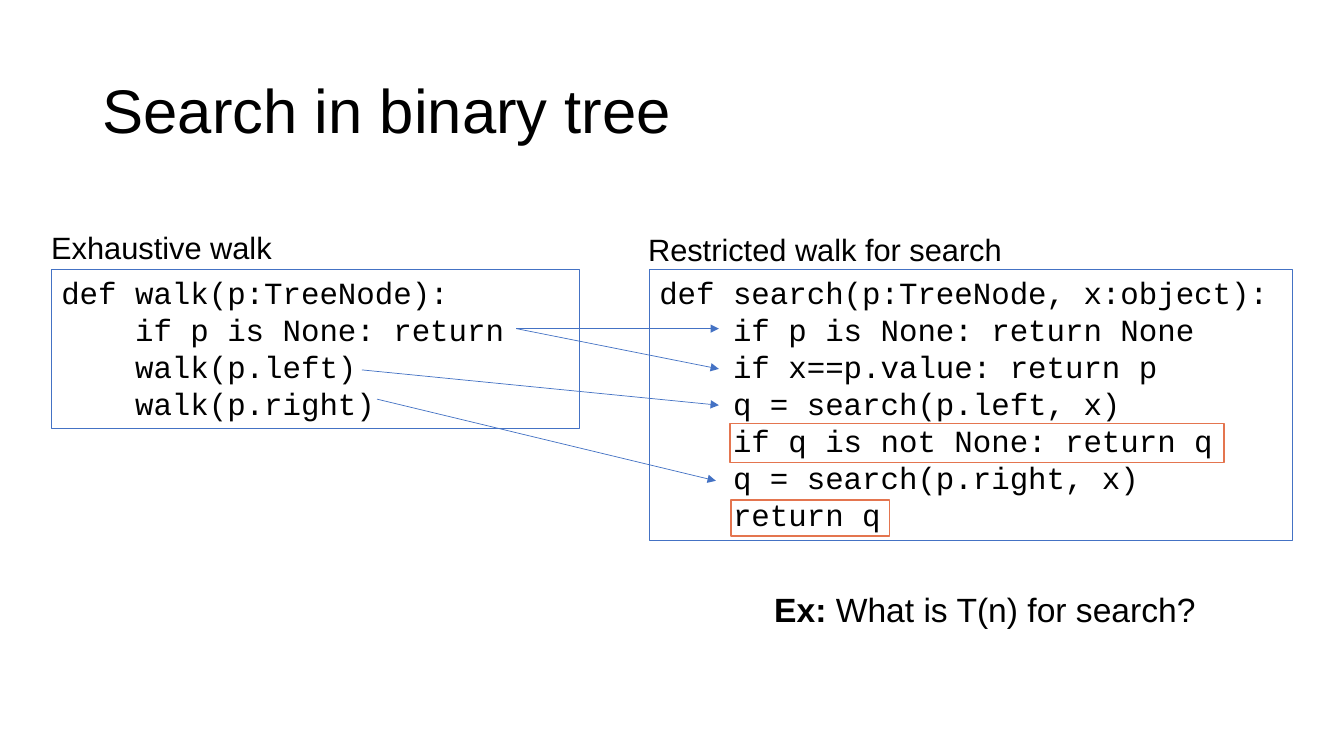
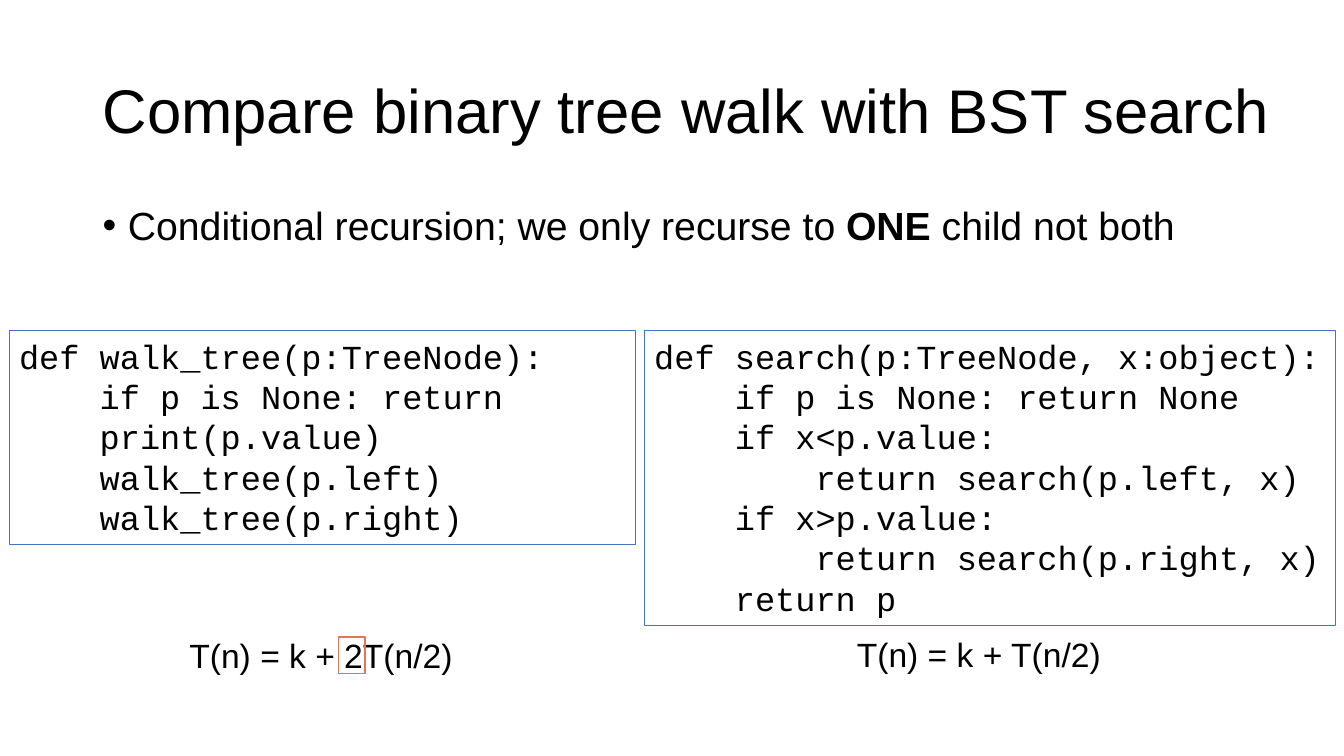
import pptx
import pptx.util
import pptx.dml.color
import pptx.enum.shapes
import pptx.enum.text
import pptx.oxml.ns
import lxml.etree

Inches = pptx.util.Inches
Pt = pptx.util.Pt
RGBColor = pptx.dml.color.RGBColor
qn = pptx.oxml.ns.qn
Anchor = pptx.enum.text.MSO_ANCHOR
AutoSize = pptx.enum.text.MSO_AUTO_SIZE

BLACK = RGBColor(0x00, 0x00, 0x00)
BLUE = RGBColor(0x44, 0x72, 0xC4)
ORANGE = RGBColor(0xE4, 0x75, 0x4F)
BODY_FONT = "Arial"
CODE_FONT = "Courier New"


class SlideWriter:
    def __init__(self, deck):
        self.deck = deck
        self.page = None

    def new_page(self, title, title_width=11.5):
        self.page = self.deck.slides.add_slide(self.deck.slide_layouts[6])
        box = self.text([(title, False)], 0.92, 0.4, title_width, 1.45, 44, wrap=True)
        box.text_frame.vertical_anchor = Anchor.MIDDLE
        box.text_frame.paragraphs[0].line_spacing = 0.9

    def style(self, para, size, name):
        para.font.size = Pt(size)
        para.font.name = name
        para.font.color.rgb = BLACK

    def text(self, spans, left, top, width, height, size, wrap=False):
        box = self.page.shapes.add_textbox(
            Inches(left), Inches(top), Inches(width), Inches(height))
        frame = box.text_frame
        frame.word_wrap = wrap
        frame.auto_size = AutoSize.NONE if wrap else AutoSize.SHAPE_TO_FIT_TEXT
        para = frame.paragraphs[0]
        self.style(para, size, BODY_FONT)
        for words, bold in spans:
            span = para.add_run()
            span.text = words
            if bold:
                span.font.bold = True
        return box

    def label(self, words, left, top, width, height, size):
        self.text([(words, False)], left, top, width, height, size)

    def bullet(self, spans, left, top, width, height):
        box = self.text(spans, left, top, width, height, 28, wrap=True)
        para = box.text_frame.paragraphs[0]
        para.line_spacing = 0.9
        para.space_before = Pt(10)
        properties = para._p.get_or_add_pPr()
        properties.set("marL", str(Inches(0.25)))
        properties.set("indent", str(-Inches(0.25)))
        font = lxml.etree.SubElement(properties, qn("a:buFont"))
        font.set("typeface", BODY_FONT)
        mark = lxml.etree.SubElement(properties, qn("a:buChar"))
        mark.set("char", "•")

    def frame(self, left, top, width, height, color=ORANGE, weight=1):
        shape = self.page.shapes.add_shape(
            pptx.enum.shapes.MSO_SHAPE.RECTANGLE,
            Inches(left), Inches(top), Inches(width), Inches(height))
        shape.shadow.inherit = False
        shape.fill.background()
        shape.line.color.rgb = color
        shape.line.width = Pt(weight)
        return shape

    def code(self, source, left, top, width, height, size):
        frame = self.frame(left, top, width, height, BLUE, 0.75).text_frame
        frame.word_wrap = True
        frame.auto_size = AutoSize.SHAPE_TO_FIT_TEXT
        frame.vertical_anchor = Anchor.TOP
        frame.text = source
        for para in frame.paragraphs:
            para.alignment = pptx.enum.text.PP_ALIGN.LEFT
            self.style(para, size, CODE_FONT)

    def arrow(self, start_x, start_y, end_x, end_y):
        line = self.page.shapes.add_connector(
            pptx.enum.shapes.MSO_CONNECTOR.STRAIGHT,
            Inches(start_x), Inches(start_y), Inches(end_x), Inches(end_y))
        line.line.color.rgb = BLUE
        line.line.width = Pt(0.5)
        head = lxml.etree.SubElement(line.line._get_or_add_ln(), qn("a:tailEnd"))
        head.set("type", "triangle")
        lxml.etree.SubElement(line._element.spPr, qn("a:effectLst"))


WALK = """def walk(p:TreeNode):
    if p is None: return
    walk(p.left)
    walk(p.right)"""

SEARCH = """def search(p:TreeNode, x:object):
    if p is None: return None
    if x==p.value: return p
    q = search(p.left, x)
    if q is not None: return q
    q = search(p.right, x)
    return q"""

WALK_TREE = """def walk_tree(p:TreeNode):
    if p is None: return
    print(p.value)
    walk_tree(p.left)
    walk_tree(p.right)"""

BST_SEARCH = """def search(p:TreeNode, x:object):
    if p is None: return None
    if x<p.value:
        return search(p.left, x)
    if x>p.value:
        return search(p.right, x)
    return p"""

deck = pptx.Presentation()
deck.slide_width = Inches(13.33)
deck.slide_height = Inches(7.5)
writer = SlideWriter(deck)

writer.new_page("Search in binary tree")
writer.text([("Ex:", True), (" What is T(n) for search?", False)],
            7.58, 5.79, 4.38, 0.5, 24)
writer.code(SEARCH, 6.44, 2.67, 6.38, 2.69, 22)
writer.code(WALK, 0.51, 2.67, 5.24, 1.58, 22)
for ends in [(5.12, 3.26, 7.13, 3.26), (5.12, 3.26, 7.13, 3.66),
             (3.59, 3.67, 7.13, 4.02), (3.74, 3.96, 7.1, 4.77)]:
    writer.arrow(*ends)
writer.frame(7.24, 4.2, 4.9, 0.39)
writer.frame(7.25, 4.96, 1.57, 0.36)
writer.label("Exhaustive walk", 0.41, 2.22, 2.41, 0.47, 22)
writer.label("Restricted walk for search", 6.33, 2.24, 3.76, 0.47, 22)

writer.new_page("Compare binary tree walk with BST search", 11.92)
writer.bullet([("Conditional recursion; we only recurse to ", False),
               ("ONE", True), (" child not both", False)],
              0.92, 2, 11.5, 4.76)
writer.code(WALK_TREE, 0.09, 3.28, 6.21, 2.12, 24)
writer.code(BST_SEARCH, 6.39, 3.28, 6.86, 2.93, 24)
writer.label("T(n) = k + 2T(n/2)", 1.78, 6.25, 2.84, 0.5, 24)
writer.label("T(n) = k + T(n/2)", 8.4, 6.24, 2.64, 0.5, 24)
writer.frame(3.36, 6.32, 0.26, 0.36)

deck.save("out.pptx")
